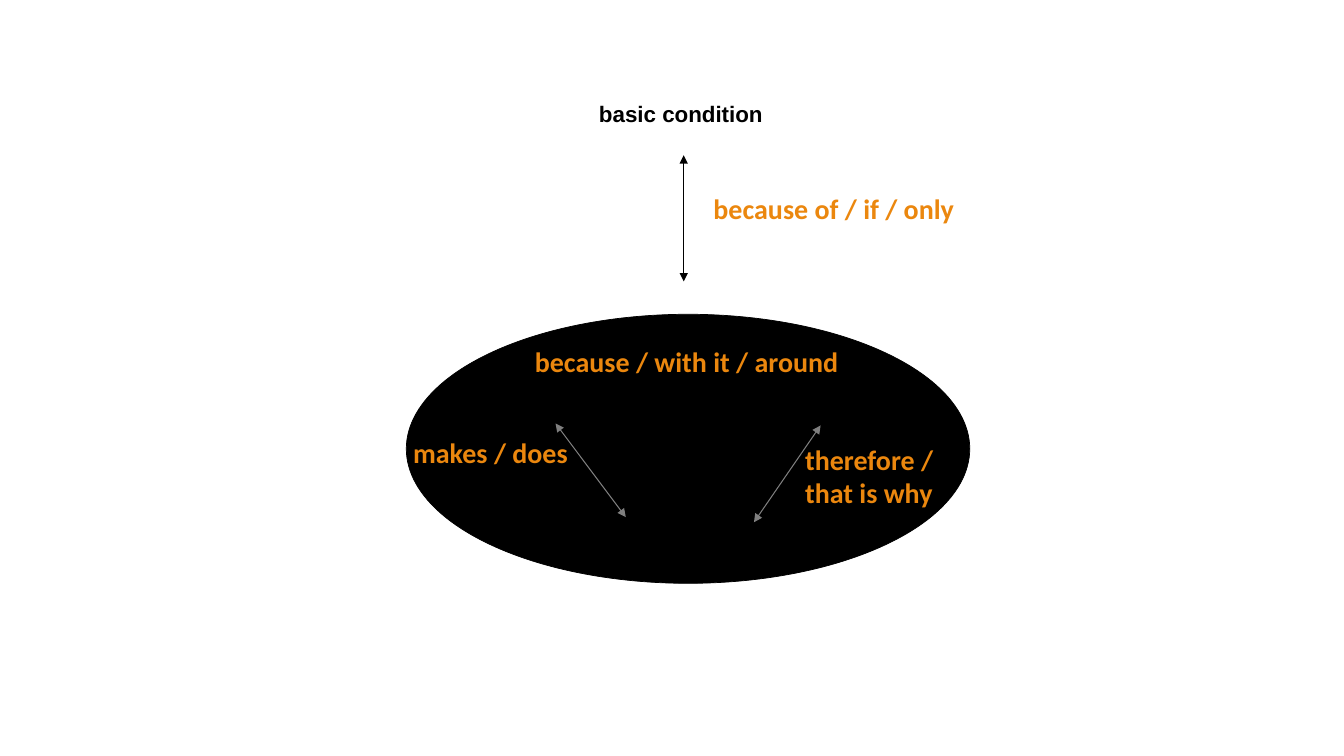
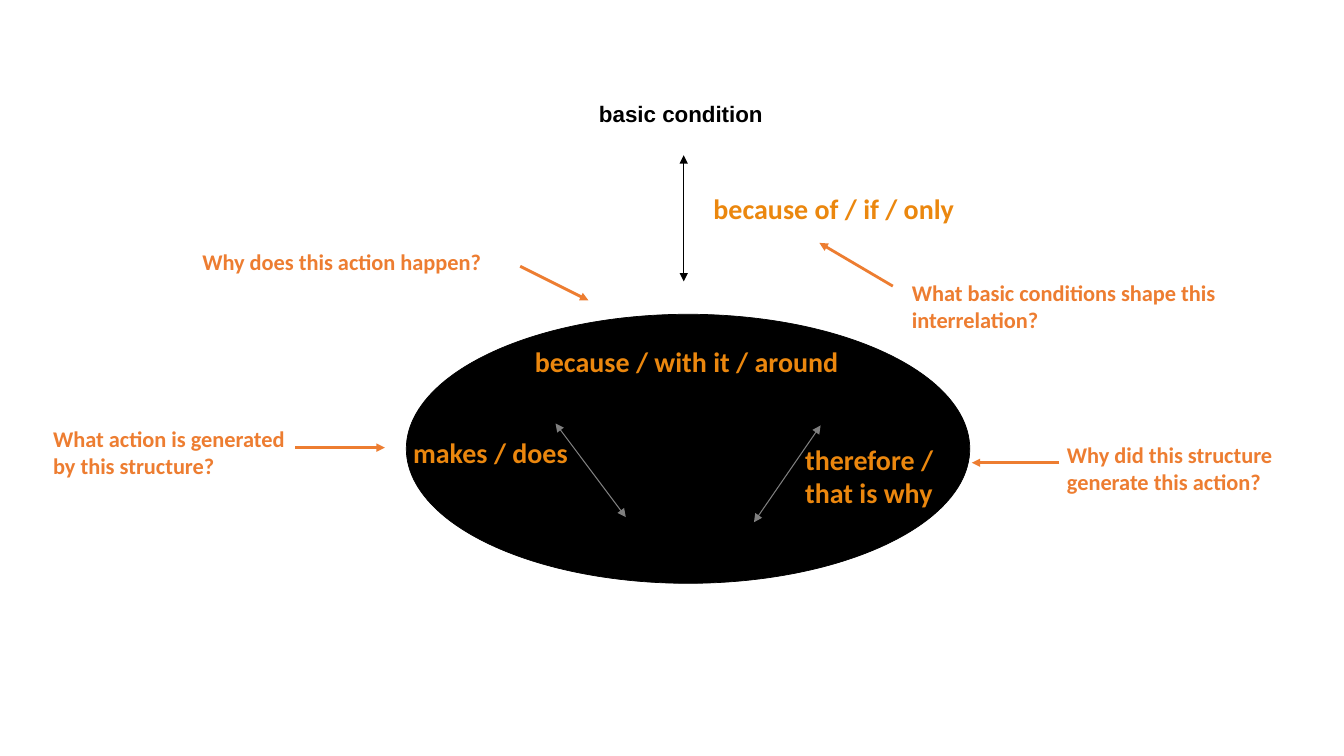
from pptx import Presentation
from pptx import util as u
from pptx.dml.color import RGBColor
from pptx.enum import shapes, text
from pptx.oxml import ns
from lxml import etree

BLACK, GRAY, AMBER, ORANGE = "000000", "7F7F7F", "EB870E", "ED7D31"

HEADING = {"name": "Arial", "size": u.Pt(16), "bold": True}
LABEL = {"name": "Calibri", "size": u.Pt(20), "bold": True}
QUESTION = {"name": "Calibri", "size": u.Pt(16), "bold": True}


def add_label(slide, wording, box, font_format, colour, align=text.PP_ALIGN.LEFT):
    shape = slide.shapes.add_textbox(*map(u.Cm, box))
    shape.text_frame.word_wrap = True
    paragraph = shape.text_frame.paragraphs[0]
    paragraph.alignment = align
    run = paragraph.add_run()
    run.text = wording
    for name, value in font_format.items():
        setattr(run.font, name, value)
    run.font.color.rgb = RGBColor.from_string(colour)


def add_arrow(slide, points, colour, width, ends):
    connector = slide.shapes.add_connector(
        shapes.MSO_CONNECTOR.STRAIGHT, *map(u.Cm, points))
    connector.line.color.rgb = RGBColor.from_string(colour)
    connector.line.width = u.Pt(width)
    line = connector.line._get_or_add_ln()
    for end in ends:
        etree.SubElement(line, ns.qn("a:" + end), type="triangle")
    etree.SubElement(connector._element.spPr, ns.qn("a:effectLst"))


presentation = Presentation()
presentation.slide_width, presentation.slide_height = u.Cm(33.87), u.Cm(19.05)

# Diagram shared by both slides: positions in cm
double_arrows = [
    ((15.77, 13.03, 14, 10.67), GRAY),
    ((19, 13.16, 20.68, 10.72), GRAY),
    ((17.23, 3.91, 17.23, 7.09), BLACK),
]
labels = [
    ("makes / does", (10.16, 10.85, 4.55, 1.12)),
    ("because / with it / around", (13.23, 8.56, 8.71, 1.12)),
    ("therefore / that is why", (20.04, 11.02, 4.01, 1.96)),
    ("because of / if / only", (17.73, 4.7, 6.78, 1.12)),
]

# Questions on the second slide, each with its pointer
questions = [
    ("What basic conditions shape this interrelation?",
     (22.73, 6.91, 9.73, 1.63), (22.5, 7.21, 20.65, 6.12)),
    ("Why did this structure generate this action?",
     (26.64, 11, 7.11, 1.63), (26.7, 11.66, 24.49, 11.66)),
    ("What action is generated by this structure?",
     (1.09, 10.59, 6.63, 1.63), (7.44, 11.28, 9.7, 11.28)),
    ("Why does this action happen?",
     (4.85, 6.12, 8.38, 0.94), (13.11, 6.71, 14.83, 7.57)),
]

for slide_questions in ([], questions):
    slide = presentation.slides.add_slide(presentation.slide_layouts[6])

    # Heading and ellipse
    add_label(slide, "basic condition", (13.77, 2.41, 6.78, 0.94),
              HEADING, BLACK, text.PP_ALIGN.CENTER)
    ellipse = slide.shapes.add_shape(
        shapes.MSO_SHAPE.OVAL, *map(u.Cm, (10.24, 7.92, 14.2, 6.78)))
    ellipse.shadow.inherit = False
    ellipse.fill.solid()
    ellipse.fill.fore_color.rgb = RGBColor.from_string(BLACK)
    ellipse.line.color.rgb = RGBColor.from_string(BLACK)
    ellipse.line.width = u.Pt(0.5)

    # Arrows and connecting words
    for points, colour in double_arrows:
        add_arrow(slide, points, colour, 0.75, ("headEnd", "tailEnd"))
    for wording, box in labels:
        add_label(slide, wording, box, LABEL, AMBER)

    # Questions around the diagram
    for wording, box, points in slide_questions:
        add_label(slide, wording, box, QUESTION, ORANGE)
        add_arrow(slide, points, ORANGE, 2, ("tailEnd",))

presentation.save("out.pptx")
